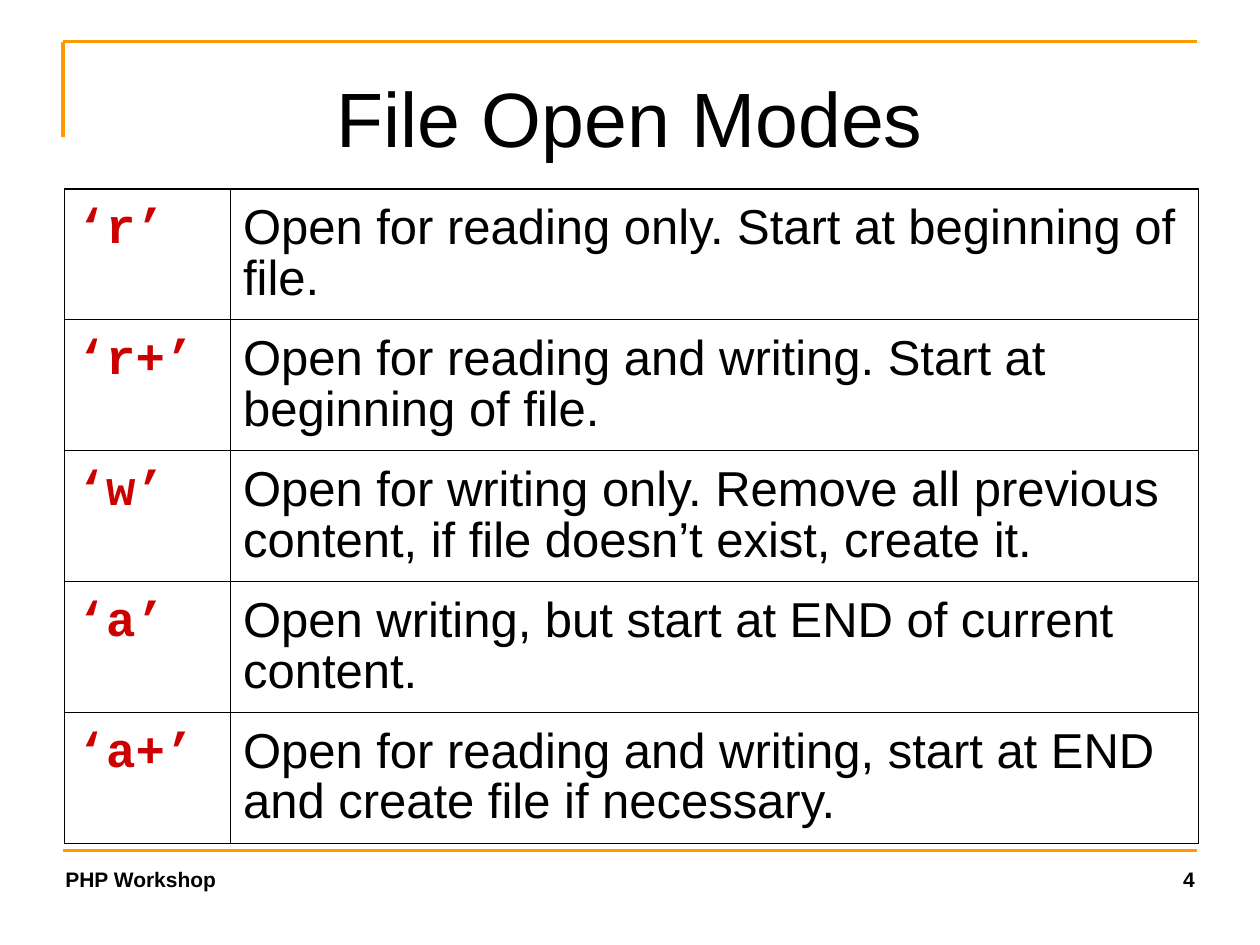
from typing import NamedTuple

from lxml.etree import SubElement as Sub
from pptx import Presentation
from pptx.dml.color import RGBColor as RGB
from pptx.enum.shapes import MSO_CONNECTOR as Conn
from pptx.enum.text import MSO_ANCHOR as Anchor, PP_ALIGN as Align
from pptx.oxml.ns import qn
from pptx.util import Inches, Pt

ORANGE = RGB(0xFF, 0x99, 0x00)
BLACK = RGB(0x00, 0x00, 0x00)
RED = RGB(0xCC, 0x00, 0x00)


class Rule(NamedTuple):
    x1: float
    y1: float
    x2: float
    y2: float


class Font(NamedTuple):
    name: str
    size: float
    color: RGB
    bold: bool


class Label(NamedTuple):
    text: str
    box: tuple[float, float, float, float]
    font: Font
    align: Align
    anchor: Anchor


class Mode(NamedTuple):
    flag: str
    note: str


class Column(NamedTuple):
    width: float
    font: Font
    top: float
    space: float


TITLE = Font("Arial", 44, BLACK, False)
FOOT = Font("Arial", 12, BLACK, True)

RULES = [
    Rule(0.5, 6.75, 9.5, 6.75),
    Rule(0.5, 0.33, 9.5, 0.33),
    Rule(0.5, 1.09, 0.5, 0.33),
]
LABELS = [
    Label("PHP Workshop", (0.42, 6.83, 2.48, 0.31), FOOT, Align.LEFT, Anchor.TOP),
    Label("4", (7.01, 6.83, 2.57, 0.31), FOOT, Align.RIGHT, Anchor.TOP),
    Label("File Open Modes", (0.5, 0.3, 9, 1.25), TITLE, Align.CENTER, Anchor.MIDDLE),
]
MODES = [
    Mode("‘r’", "Open for reading only. Start at beginning of file."),
    Mode("‘r+’", "Open for reading and writing. Start at beginning of file."),
    Mode("‘w’", "Open for writing only. Remove all previous content, "
         "if file doesn’t exist, create it."),
    Mode("‘a’", "Open writing, but start at END of current content."),
    Mode("‘a+’", "Open for reading and writing, start at END "
         "and create file if necessary."),
]
COLUMNS = [
    Column(1.32, Font("Courier New", 28, RED, True), 0.11, 0.94),
    Column(7.68, Font("Arial", 28, BLACK, False), 0.12, 0.93),
]
ROW = 1.03


def add_run(para, text: str, font: Font) -> None:
    run = para.add_run()
    run.text = text
    run.font.name = font.name
    run.font.size = Pt(font.size)
    run.font.color.rgb = font.color
    run.font.bold = font.bold


def draw_rule(slide, rule: Rule) -> None:
    line = slide.shapes.add_connector(Conn.STRAIGHT, *map(Inches, rule))
    line.line.color.rgb = ORANGE
    line.line.width = Pt(2)
    Sub(line._element.spPr, qn("a:effectLst"))


def draw_label(slide, label: Label) -> None:
    frame = slide.shapes.add_textbox(*map(Inches, label.box)).text_frame
    frame.word_wrap = True
    frame.vertical_anchor = label.anchor
    para = frame.paragraphs[0]
    para.alignment = label.align
    add_run(para, label.text, label.font)


def add_border(cell) -> None:
    props = cell._tc.get_or_add_tcPr()
    for side in ("a:lnL", "a:lnR", "a:lnT", "a:lnB"):
        edge = Sub(props, qn(side), w=str(Pt(0.75)))
        fill = Sub(edge, qn("a:solidFill"))
        Sub(fill, qn("a:srgbClr"), val=str(BLACK))


def fill_cell(cell, text: str, col: Column) -> None:
    add_border(cell)
    cell.fill.background()
    cell.margin_top = Inches(col.top)
    para = cell.text_frame.paragraphs[0]
    para.line_spacing = col.space
    add_run(para, text, col.font)


def draw_table(slide, modes: list[Mode], cols: list[Column]) -> None:
    width = sum(col.width for col in cols)
    box = map(Inches, (0.51, 1.5, width, ROW * len(modes)))
    table = slide.shapes.add_table(len(modes), len(cols), *box).table
    table.first_row = table.horz_banding = False
    for slot, col in zip(table.columns, cols):
        slot.width = Inches(col.width)
    for row, mode in zip(table.rows, modes):
        row.height = Inches(ROW)
        for cell, text, col in zip(row.cells, mode, cols):
            fill_cell(cell, text, col)


def main() -> None:
    """Build the slide of file open modes and save it."""
    deck = Presentation()
    deck.slide_width, deck.slide_height = Inches(10), Inches(7.5)
    slide = deck.slides.add_slide(deck.slide_layouts[6])
    for rule in RULES:
        draw_rule(slide, rule)
    for label in LABELS:
        draw_label(slide, label)
    draw_table(slide, MODES, COLUMNS)
    deck.save("out.pptx")


if __name__ == "__main__":
    main()
